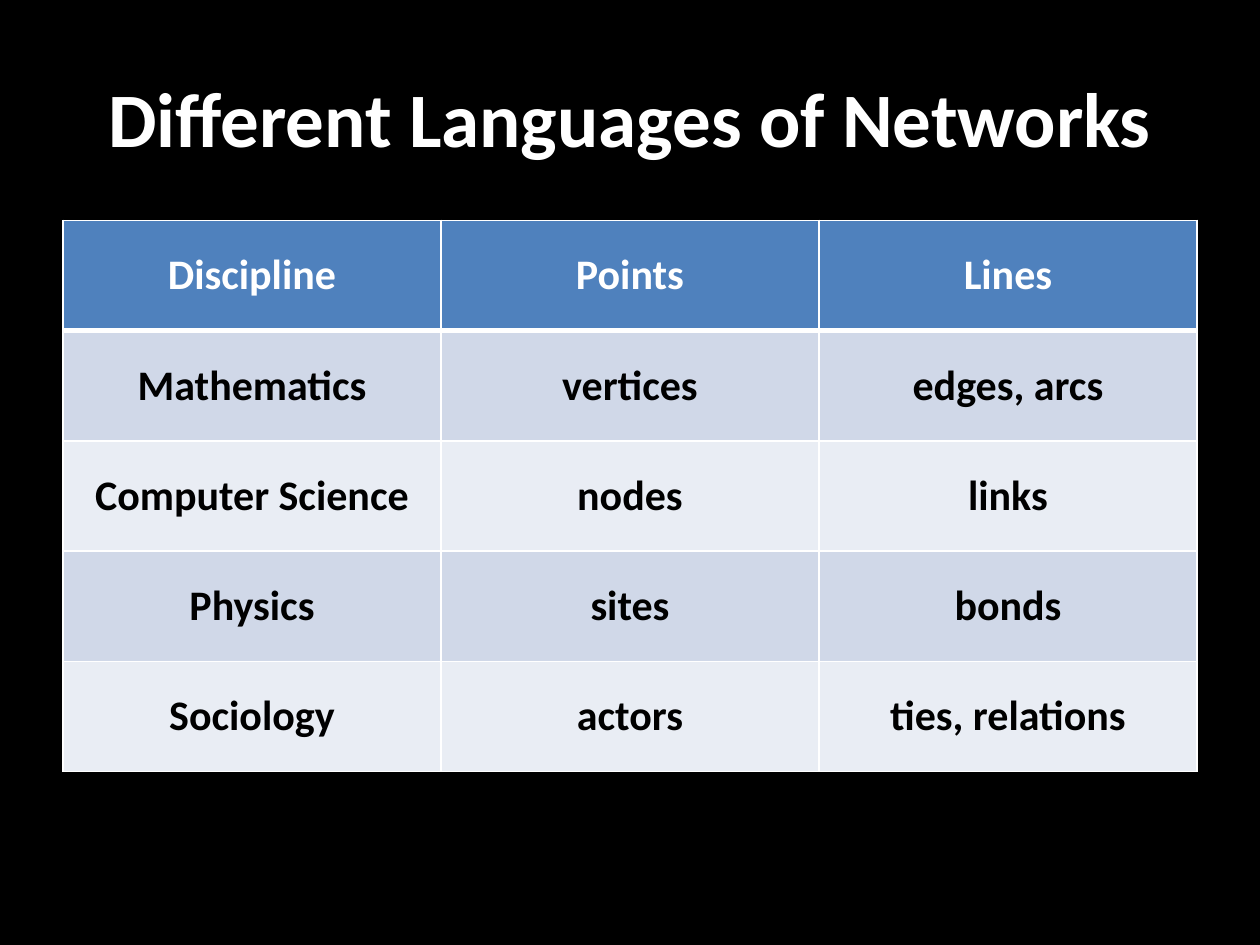
from pptx import Presentation, util as u
from pptx.dml.color import RGBColor
from pptx.enum import text
from pptx.oxml import parse_xml
from pptx.oxml.ns import nsdecls

BLACK = RGBColor(0x00, 0x00, 0x00)
WHITE = RGBColor(0xFF, 0xFF, 0xFF)
HEADER_BLUE = RGBColor(0x4F, 0x81, 0xBD)
BANDS = RGBColor(0xE9, 0xED, 0xF4), RGBColor(0xD0, 0xD8, 0xE8)

WIDTH, HEIGHT = u.Inches(10), u.Inches(7.5)
MARGIN = 0.05
TITLE_TOP, TITLE_HEIGHT = 0.04, 1 / 6
TABLE_TOP, TABLE_HEIGHT = 0.2333, 0.5833
THIN, THICK = 1, 3

TERMS = [
    ("Discipline", "Points", "Lines"),
    ("Mathematics", "vertices", "edges, arcs"),
    ("Computer Science", "nodes", "links"),
    ("Physics", "sites", "bonds"),
    ("Sociology", "actors", "ties, relations"),
]


def band(top, height):
    """Left, top, width and height of a band between the side margins."""
    shares = (MARGIN, WIDTH), (top, HEIGHT), (1 - 2 * MARGIN, WIDTH), (height, HEIGHT)
    return [round(share * length) for share, length in shares]


def write(frame, words, size, color):
    para = frame.paragraphs[0]
    para.alignment = text.PP_ALIGN.CENTER
    span = para.add_run()
    span.text = words
    look = {"name": "Calibri", "size": u.Pt(size), "bold": True}
    for name, value in look.items():
        setattr(span.font, name, value)
    span.font.color.rgb = color


def add_title(page, words):
    box = page.shapes.add_textbox(*band(TITLE_TOP, TITLE_HEIGHT))
    box.text_frame.word_wrap = True
    box.text_frame.vertical_anchor = text.MSO_ANCHOR.MIDDLE
    write(box.text_frame, words, 44, WHITE)


def set_borders(cell, top, bottom):
    """Draw white borders; top and bottom are widths in points."""
    properties = cell._tc.get_or_add_tcPr()
    for side, points in {"L": THIN, "R": THIN, "T": top, "B": bottom}.items():
        properties.append(parse_xml(
            f'<a:ln{side} {nsdecls("a")} w="{u.Pt(points)}"><a:solidFill>'
            f'<a:srgbClr val="{WHITE}"/></a:solidFill></a:ln{side}>'))


def add_term_table(page, rows):
    place = band(TABLE_TOP, TABLE_HEIGHT)
    table = page.shapes.add_table(len(rows), len(rows[0]), *place).table
    for r, words in enumerate(rows):
        header = r == 0
        for c, word in enumerate(words):
            cell = table.cell(r, c)
            set_borders(cell, THICK if r == 1 else THIN, THICK if header else THIN)
            cell.fill.solid()
            cell.fill.fore_color.rgb = HEADER_BLUE if header else BANDS[r % 2]
            cell.vertical_anchor = text.MSO_ANCHOR.MIDDLE
            write(cell.text_frame, word, 24, WHITE if header else BLACK)


def main():
    deck = Presentation()
    deck.slide_width, deck.slide_height = WIDTH, HEIGHT
    page = deck.slides.add_slide(deck.slide_layouts[6])
    page.background.fill.solid()
    page.background.fill.fore_color.rgb = BLACK
    add_title(page, "Different Languages of Networks")
    add_term_table(page, TERMS)
    deck.save("out.pptx")


if __name__ == "__main__":
    main()
